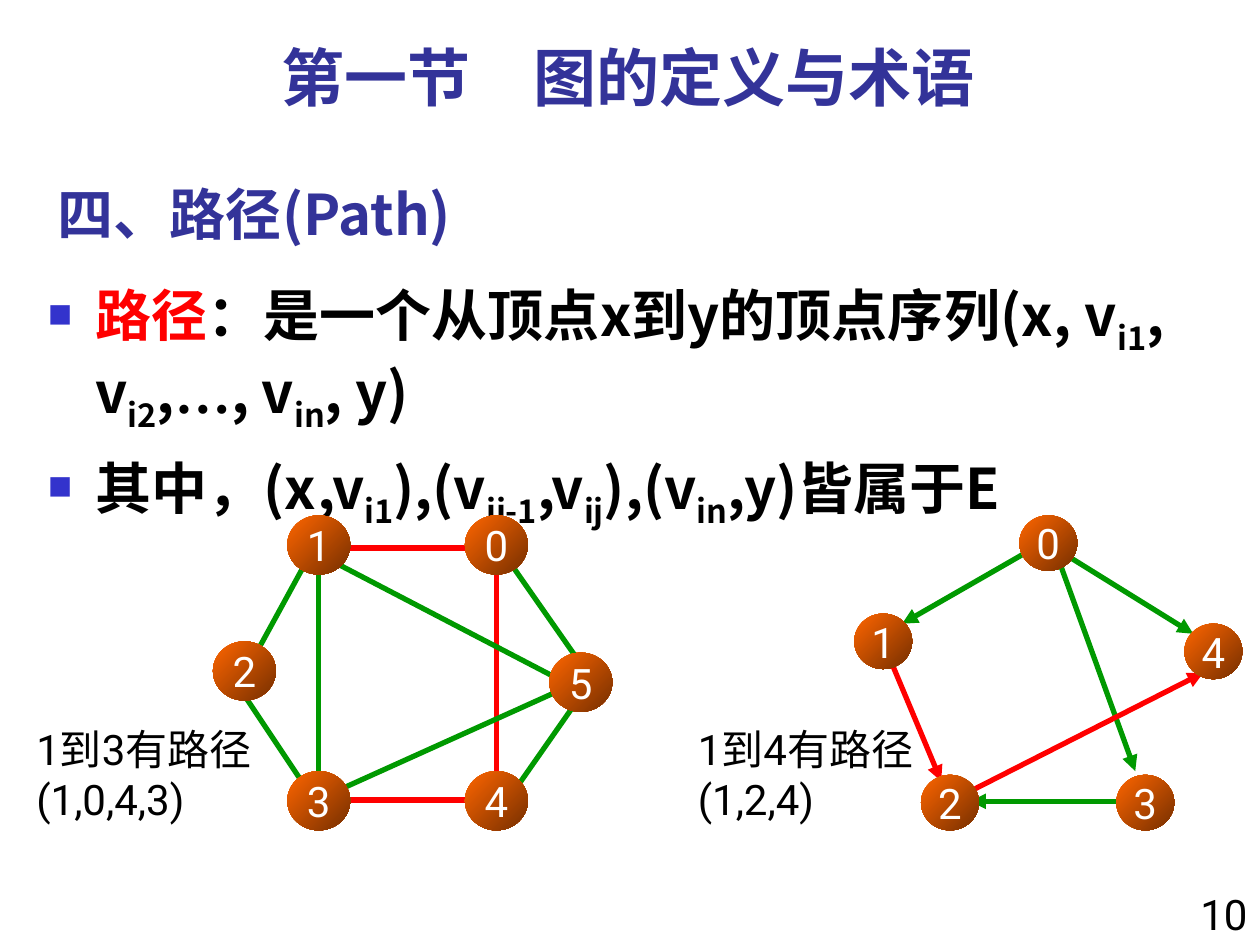
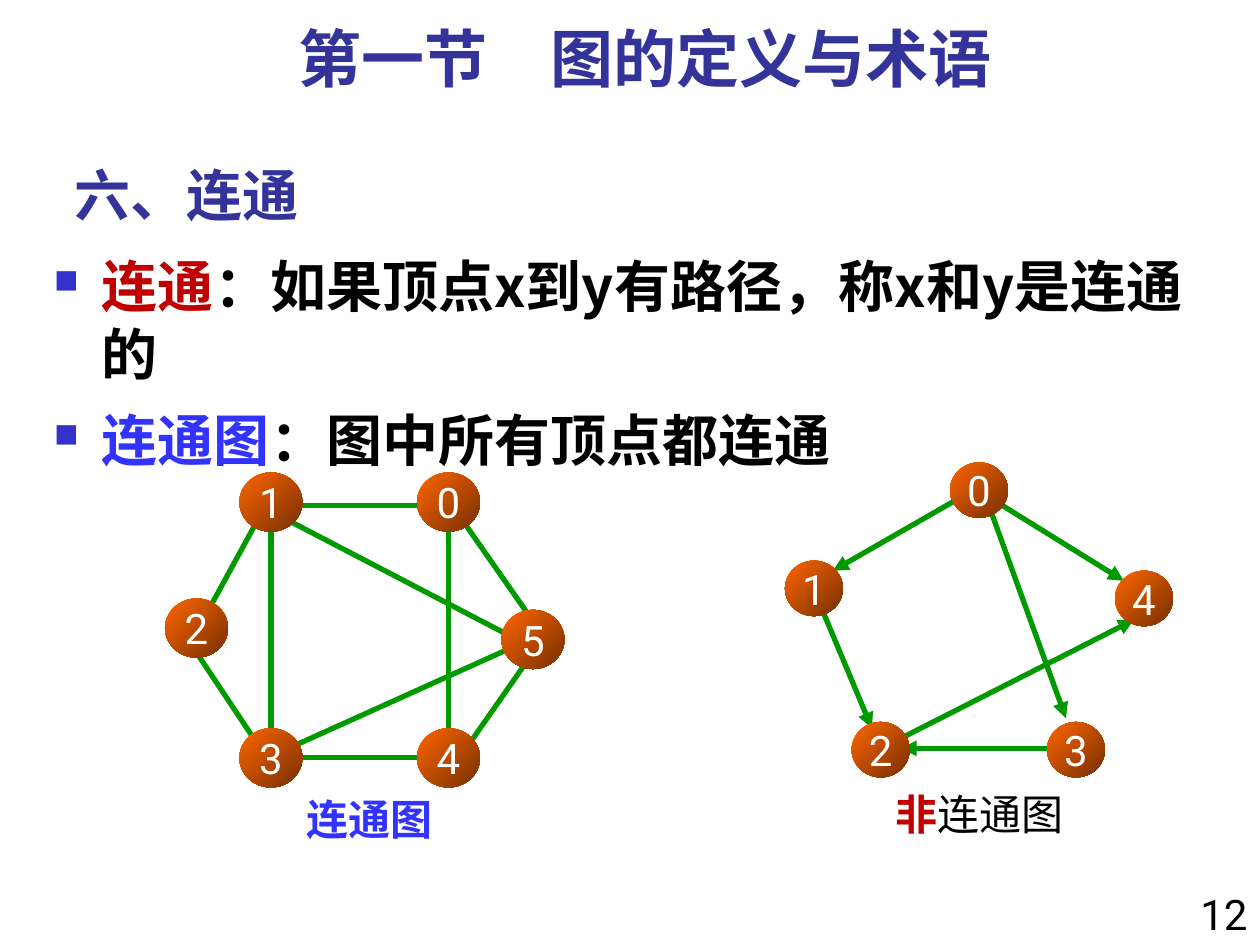
from pptx import Presentation
from pptx.dml.color import RGBColor
from pptx.enum.shapes import MSO_CONNECTOR, MSO_SHAPE
from pptx.enum.text import MSO_ANCHOR, PP_ALIGN
from pptx.oxml.ns import qn
from pptx.util import Emu, Pt
from lxml.etree import SubElement

PX = 9144
NAVY = RGBColor(0x33, 0x33, 0x99)
BLUE = RGBColor(0x33, 0x33, 0xFF)
RED = RGBColor(0xFF, 0x00, 0x00)
DARK = RGBColor(0xC0, 0x00, 0x00)
GREEN = RGBColor(0x00, 0x99, 0x00)
BLACK = RGBColor(0x00, 0x00, 0x00)
WHITE = RGBColor(0xFF, 0xFF, 0xFF)
ORANGE = RGBColor(0xFF, 0x66, 0x00)
BROWN = RGBColor(0x76, 0x2F, 0x00)
SANS, HAN, SERIF = "Roboto", "Noto Sans CJK SC", "Times New Roman"

MESH = {
    "size": (50, 47),
    "arrow": False,
    "nodes": {"0": (200, 0), "1": (59, 0), "2": (0, 100),
              "3": (59, 203), "4": (200, 203), "5": (267, 109)},
    "edges": {"01": (209, 26, 109, 26), "04": (225, 43, 225, 210),
              "05": (234, 35, 292, 118), "12": (75, 35, 34, 110),
              "13": (84, 43, 84, 218), "15": (92, 35, 284, 135),
              "23": (25, 143, 75, 218), "34": (92, 226, 217, 226),
              "35": (100, 218, 284, 135), "45": (234, 226, 292, 143)},
}
DIRECT = {
    "size": (46, 44),
    "arrow": True,
    "nodes": {"0": (131, 0), "1": (0, 78), "2": (53, 206),
              "3": (208, 206), "4": (262, 86)},
    "edges": {"04": (169, 32, 269, 94), "12": (30, 118, 69, 211),
              "01": (146, 24, 38, 86), "03": (161, 32, 223, 203),
              "32": (208, 227, 92, 227), "24": (92, 219, 277, 125)},
}


def px(*nums):
    return [Emu(num * PX) for num in nums]


def style(run, size, color, bold=False, face=SANS):
    font = run.font
    font.size, font.bold, font.name = Pt(size), bold, face
    font.color.rgb = color
    east = SubElement(run._r.get_or_add_rPr(), qn("a:ea"))
    east.set("typeface", HAN if face == SANS else face)


def add_text(slide, box, text, size=24, color=BLACK, bold=False, align=PP_ALIGN.LEFT):
    frame = slide.shapes.add_textbox(*px(*box)).text_frame
    frame.word_wrap = True
    para = frame.paragraphs[0]
    para.text, para.alignment = text, align
    style(para.runs[0], size, color, bold)
    return para


def add_bullet(para):
    props = para._p.get_or_add_pPr()
    props.set("marL", str(38 * PX))
    props.set("indent", str(-38 * PX))
    tint = SubElement(SubElement(props, qn("a:buClr")), qn("a:srgbClr"))
    tint.set("val", "3333CC")
    SubElement(props, qn("a:buSzPct")).set("val", "60000")
    SubElement(props, qn("a:buChar")).set("char", "■")


def add_body(slide, box, items):
    frame = slide.shapes.add_textbox(*px(*box)).text_frame
    frame.word_wrap = True
    for row, item in enumerate(items):
        para = frame.add_paragraph() if row else frame.paragraphs[0]
        add_bullet(para)
        if row:
            para.space_before = Pt(11)
        for text, color, face in item:
            for part, chunk in enumerate(text.split("|")):
                run = para.add_run()
                run.text = chunk
                style(run, 32, color, True, face)
                if part % 2:
                    run.font._element.set("baseline", "-25000")


def add_edge(group, ends, color, arrow):
    line = group.shapes.add_connector(MSO_CONNECTOR.STRAIGHT, *px(*ends))
    line.line.color.rgb = color
    line.line.width = Pt(3)
    if arrow:
        SubElement(line.line._get_or_add_ln(), qn("a:tailEnd")).set("type", "triangle")
    SubElement(line._element.spPr, qn("a:effectLst"))


def add_node(group, box, label):
    node = group.shapes.add_shape(MSO_SHAPE.OVAL, *px(*box))
    node.shadow.inherit = False
    node.fill.gradient()
    node.fill.gradient_angle = 315
    for stop, color in zip(node.fill.gradient_stops, (ORANGE, BROWN)):
        stop.color.rgb = color
    node.line.fill.background()
    frame = node.text_frame
    frame.margin_left = frame.margin_right = 0
    frame.word_wrap = False
    frame.vertical_anchor = MSO_ANCHOR.MIDDLE
    para = frame.paragraphs[0]
    para.text, para.alignment = label, PP_ALIGN.CENTER
    style(para.runs[0], 24, WHITE)


def add_graph(slide, graph, left, top, route=()):
    group = slide.shapes.add_group_shape()
    for name, (x1, y1, x2, y2) in graph["edges"].items():
        ends = (left + x1, top + y1, left + x2, top + y2)
        add_edge(group, ends, RED if name in route else GREEN, graph["arrow"])
    for label, (x, y) in graph["nodes"].items():
        add_node(group, (left + x, top + y, *graph["size"]), label)


def add_page(deck, title, left, top, number):
    slide = deck.slides.add_slide(deck.slide_layouts[5])
    head = slide.shapes.title
    head.left, head.top, head.width, head.height = px(left, top + 100, 625, 75)
    frame = head.text_frame
    frame.text = title
    frame.vertical_anchor = MSO_ANCHOR.BOTTOM
    frame.paragraphs[0].alignment = PP_ALIGN.LEFT
    style(frame.paragraphs[0].runs[0], 32, NAVY, True, HAN)
    add_text(slide, (left, top, 925, 70), "第一节　图的定义与术语", 36, NAVY, True, PP_ALIGN.CENTER)
    add_text(slide, (933, 700, 67, 50), number, align=PP_ALIGN.RIGHT)
    return slide


def add_route(deck):
    slide = add_page(deck, "四、路径(Path)", 36, 26, "10")
    add_body(slide, (28, 218, 958, 442), [
        [("路径", RED, HAN),
         ("：是一个从顶点x到y的顶点序列(x, v|i1|, v|i2|,", BLACK, HAN),
         ("…", BLACK, SERIF),
         (", v|in|, y)", BLACK, HAN)],
        [("其中，(x,v|i1|),(v|ij-1|,v|ij|),(v|in|,y)皆属于E", BLACK, HAN)],
    ])
    add_graph(slide, DIRECT, 678, 409, ("12", "24"))
    add_graph(slide, MESH, 169, 409, ("01", "04", "34"))
    add_text(slide, (19, 569, 200, 90), "1到3有路径(1,0,4,3)")
    add_text(slide, (544, 569, 200, 90), "1到4有路径(1,2,4)")


def add_linked(deck):
    slide = add_page(deck, "六、连通", 49, 11, "12")
    add_body(slide, (33, 195, 958, 442), [
        [("连通", DARK, HAN), ("：如果顶点x到y有路径，称x和y是连通的", BLACK, HAN)],
        [("连通图", BLUE, HAN), ("：图中所有顶点都连通", BLACK, HAN)],
    ])
    add_graph(slide, MESH, 131, 375)
    add_graph(slide, DIRECT, 623, 367)
    add_text(slide, (206, 625, 175, 50), "连通图", color=BLUE, bold=True, align=PP_ALIGN.CENTER)
    para = add_text(slide, (690, 621, 175, 50), "非", color=DARK, bold=True, align=PP_ALIGN.CENTER)
    rest = para.add_run()
    rest.text = "连通图"
    style(rest, 24, BLACK)


def main():
    deck = Presentation()
    deck.slide_width, deck.slide_height = px(1000, 750)
    add_route(deck)
    add_linked(deck)
    deck.save("out.pptx")


if __name__ == "__main__":
    main()
